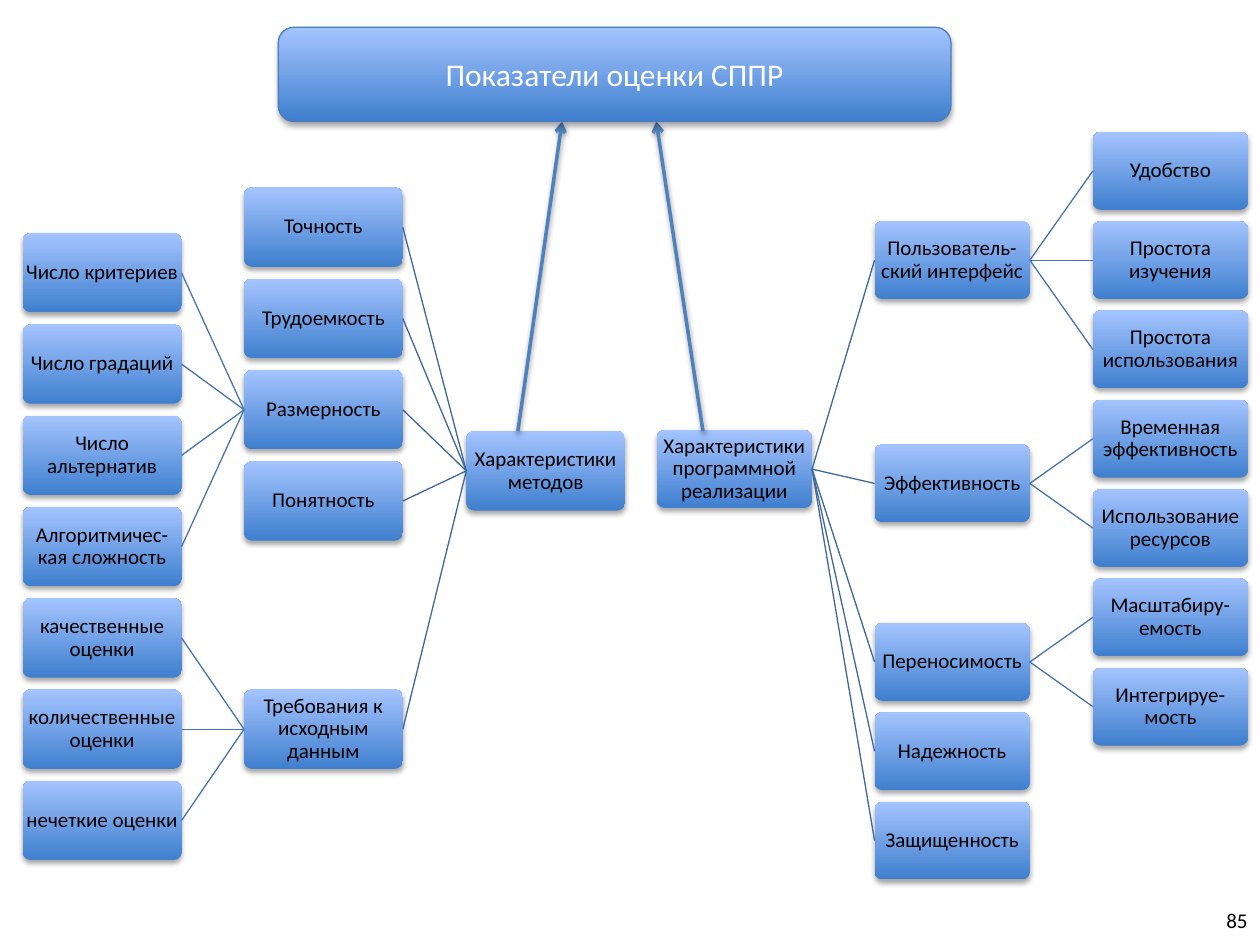
from dataclasses import dataclass
from lxml.etree import SubElement
from pptx import Presentation
from pptx.dml.color import RGBColor
from pptx.enum.shapes import MSO_CONNECTOR, MSO_SHAPE
from pptx.enum.text import MSO_ANCHOR, PP_ALIGN
from pptx.oxml.ns import qn
from pptx.util import Cm, Pt


@dataclass(frozen=True)
class Theme:
    font: str = "Calibri"
    small: Pt = Pt(12)
    large: Pt = Pt(18)
    black: RGBColor = RGBColor(0, 0, 0)
    white: RGBColor = RGBColor(255, 255, 255)
    dark: RGBColor = RGBColor(0x3F, 0x7F, 0xCE)
    light: RGBColor = RGBColor(0xA4, 0xC4, 0xFF)
    edge: RGBColor = RGBColor(0x4B, 0x7E, 0xBC)
    trunk: RGBColor = RGBColor(0x3F, 0x67, 0x97)
    twig: RGBColor = RGBColor(0x48, 0x75, 0xAC)
    arrow: RGBColor = RGBColor(0x4F, 0x81, 0xBD)


theme = Theme()
deck = Presentation()
deck.slide_width, deck.slide_height = Cm(25.4), Cm(19.05)
slide = deck.slides.add_slide(deck.slide_layouts[6])
shapes = slide.shapes


def shade(props, alpha, drop):
    """Add a soft shadow that falls straight down by drop points."""
    effects = props.find(qn("a:effectLst"))
    if effects is None:
        effects = SubElement(props, qn("a:effectLst"))
    outer = SubElement(effects, qn("a:outerShdw"), blurRad=str(Pt(3.1)),
                       dist=str(Pt(drop)), dir="5400000", rotWithShape="0")
    tint = SubElement(outer, qn("a:srgbClr"), val="000000")
    SubElement(tint, qn("a:alpha"), val=str(alpha * 1000))


def add_box(left, top, width, height, text, size, color):
    box = shapes.add_shape(MSO_SHAPE.ROUNDED_RECTANGLE,
                           Cm(left), Cm(top), Cm(width), Cm(height))
    box.fill.gradient()
    box.fill.gradient_angle = 90
    for stop, tone in zip(box.fill.gradient_stops, (theme.dark, theme.light)):
        stop.color.rgb = tone
    box.line.fill.background()
    box.shadow.inherit = False
    shade(box._element.spPr, 35, 1.8)
    frame = box.text_frame
    frame.word_wrap = True
    frame.vertical_anchor = MSO_ANCHOR.MIDDLE
    para = frame.paragraphs[0]
    para.text = text
    para.alignment = PP_ALIGN.CENTER
    para.font.name, para.font.size = theme.font, size
    para.font.color.rgb = color
    return box


# Each tree: column lefts from the root out, first row top, row step, box size,
# the sides where lines leave and arrive, then (text, column, row), parents first.
trees = [
    ((9.4, 4.92, 0.46), 4.7, 1.84, (3.2, 1.6), (1, 3), [
        ("Характеристики методов", 0, 2.17),
        ("Точность", 1, -0.5),
        ("Трудоемкость", 1, 0.5),
        ("Размерность", 1, 1.5),
        ("Число критериев", 2, 0),
        ("Число градаций", 2, 1),
        ("Число альтернатив", 2, 2),
        ("Алгоритмичес-кая сложность", 2, 3),
        ("Понятность", 1, 2.5),
        ("Требования к исходным данным", 1, 5),
        ("качественные оценки", 2, 4),
        ("количественные оценки", 2, 5),
        ("нечеткие оценки", 2, 6),
    ]),
    ((13.24, 17.63, 22.03), 2.66, 1.8, (3.13, 1.57), (3, 1), [
        ("Характеристики программной реализации", 0, 3.34),
        ("Пользователь-ский интерфейс", 1, 1),
        ("Удобство", 2, 0),
        ("Простота изучения", 2, 1),
        ("Простота использования", 2, 2),
        ("Эффективность", 1, 3.5),
        ("Временная эффективность", 2, 3),
        ("Использование ресурсов", 2, 4),
        ("Переносимость", 1, 5.5),
        ("Масштабиру-емость", 2, 5),
        ("Интегрируе-мость", 2, 6),
        ("Надежность", 1, 6.5),
        ("Защищенность", 1, 7.5),
    ]),
]

for lefts, first, step, (width, height), (start, end), nodes in trees:
    chain = {}
    for text, level, row in nodes:
        box = add_box(lefts[level], first + row * step, width, height,
                      text, theme.small, theme.black)
        box.adjustments[0] = 0.1
        frame = box.text_frame
        frame.margin_left = frame.margin_right = Cm(0.02)
        frame.margin_top = frame.margin_bottom = Cm(0.02)
        frame.paragraphs[0].line_spacing = 0.9
        chain[level] = box
        if level:
            link = shapes.add_connector(MSO_CONNECTOR.STRAIGHT, 0, 0, 0, 0)
            link.begin_connect(chain[level - 1], start)
            link.end_connect(box, end)
            link.line.color.rgb = theme.trunk if level == 1 else theme.twig
            link.line.width = Pt(0.75)
            SubElement(link._element.spPr, qn("a:effectLst"))

for foot, head in ((14.17, 13.23), (10.44, 11.33)):
    arrow = shapes.add_connector(MSO_CONNECTOR.STRAIGHT,
                                 Cm(foot), Cm(8.69), Cm(head), Cm(2.45))
    arrow.line.color.rgb = theme.arrow
    arrow.line.width = Pt(2)
    SubElement(arrow.line._get_or_add_ln(), qn("a:tailEnd"), type="arrow")
    shade(arrow._element.spPr, 38, 1.6)

title = add_box(5.61, 0.55, 13.56, 1.9, "Показатели оценки СППР",
                theme.large, theme.white)
title.line.color.rgb = theme.edge
title.line.width = Pt(0.75)

number = shapes.add_textbox(Cm(19.48), Cm(18.03), Cm(5.92), Cm(1.02))
number.text_frame.word_wrap = True
number.text_frame.vertical_anchor = MSO_ANCHOR.MIDDLE
para = number.text_frame.paragraphs[0]
para.text = "85"
para.alignment = PP_ALIGN.RIGHT
para.font.name, para.font.size = theme.font, theme.small
para.font.color.rgb = theme.black

deck.save("out.pptx")
